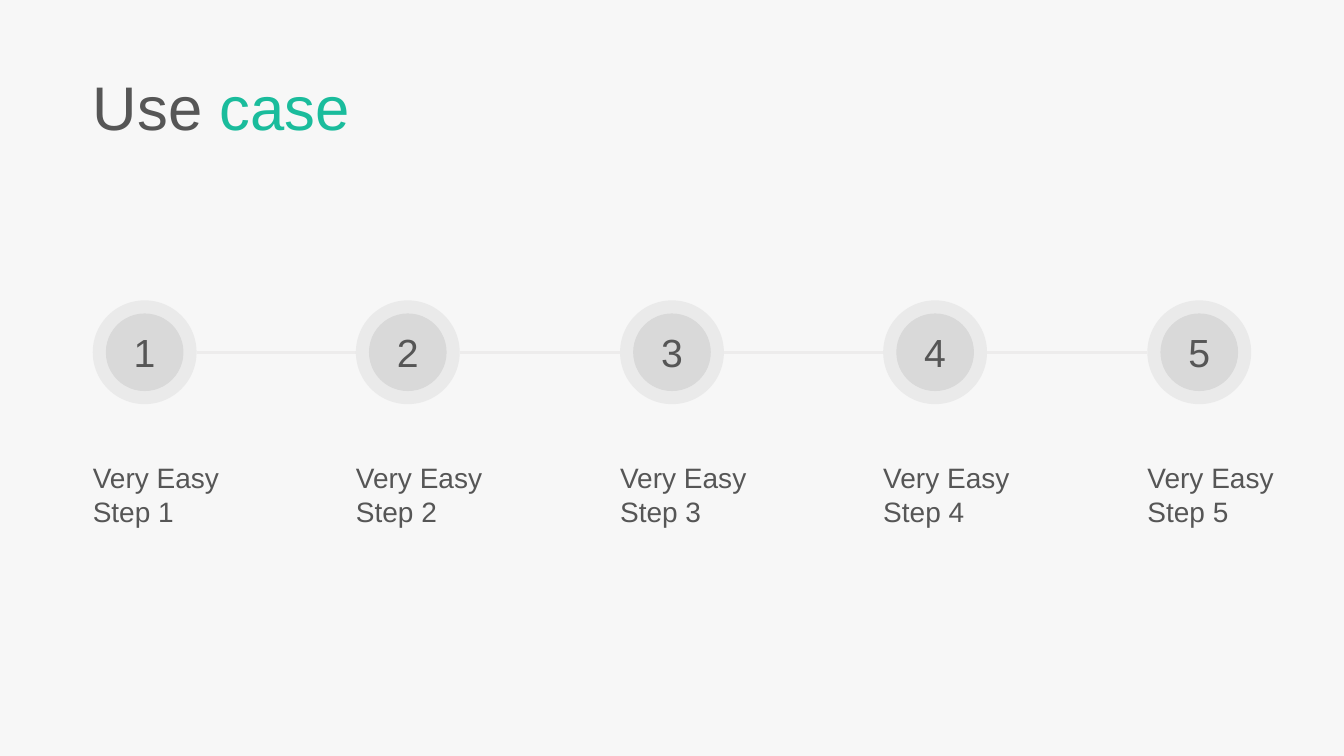
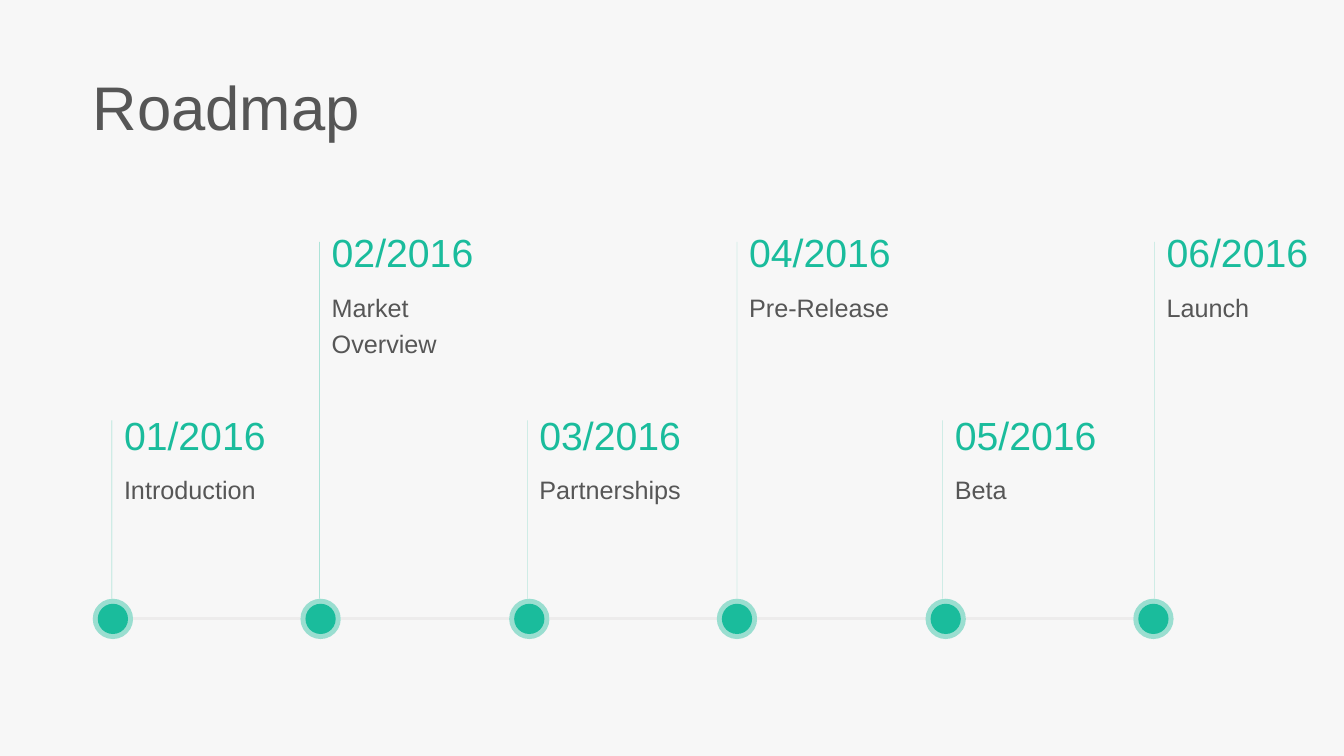
"""Builds a five-step use case slide and a six-milestone roadmap slide."""
import lxml.etree
import pptx
import pptx.dml.color
import pptx.enum.shapes
import pptx.enum.text
import pptx.oxml.ns
import pptx.util

PX = 9144
FONT = "Arial"
COLOURS = {
    "paper": "F7F7F7",
    "ink": "565656",
    "accent": "1ABC9C",
    "disc": "D9D9D9",
    "rail": "EDECEC",
}
COLOURS = {role: pptx.dml.color.RGBColor.from_string(code) for role, code in COLOURS.items()}


def write(slide, text, box=None, host=None, size=18, colour="ink", accent="", inset=0,
          centred=False, spacing=None, before=None):
    """Put text in a new box, or in the host shape, with an optional accent ending."""
    frame = (host or slide.shapes.add_textbox(*[length * PX for length in box])).text_frame
    frame.word_wrap = True
    paragraph = frame.paragraphs[0]
    if centred:
        frame.vertical_anchor = pptx.enum.text.MSO_ANCHOR.MIDDLE
        paragraph.alignment = pptx.enum.text.PP_ALIGN.CENTER
    else:
        frame.auto_size = pptx.enum.text.MSO_AUTO_SIZE.SHAPE_TO_FIT_TEXT
        frame.margin_left = inset * PX
    if spacing:
        paragraph.line_spacing = spacing
    if before:
        paragraph.space_before = pptx.util.Pt(before)
    for words, role in ((text, colour), (accent, "accent")):
        if words:
            run = paragraph.add_run()
            run.text = words
            run.font.name = FONT
            run.font.size = pptx.util.Pt(size)
            run.font.color.rgb = COLOURS[role]


def draw(slide, colour, left, top, right, bottom, weight=None, opacity=100):
    """Draw a line if a weight is given, otherwise a disc."""
    if weight:
        mark = slide.shapes.add_connector(
            pptx.enum.shapes.MSO_CONNECTOR.STRAIGHT, left * PX, top * PX, right * PX, bottom * PX)
        mark.line.width = pptx.util.Pt(weight)
        mark.line.fill.solid()
        mark.line.fill.fore_color.rgb = COLOURS[colour]
        lxml.etree.SubElement(mark._element.spPr, pptx.oxml.ns.qn("a:effectLst"))
    else:
        mark = slide.shapes.add_shape(
            pptx.enum.shapes.MSO_SHAPE.OVAL, left * PX, top * PX,
            (right - left) * PX, (bottom - top) * PX)
        mark.fill.solid()
        mark.fill.fore_color.rgb = COLOURS[colour]
        mark.line.fill.background()
        mark.shadow.inherit = False
    if opacity < 100:
        for tint in mark._element.spPr.iter(pptx.oxml.ns.qn("a:srgbClr")):
            lxml.etree.SubElement(tint, pptx.oxml.ns.qn("a:alpha"), val=str(opacity * 1000))
    return mark


deck = pptx.Presentation()
deck.slide_width, deck.slide_height = 1333 * PX, 750 * PX
deck.slide_master.background.fill.solid()
deck.slide_master.background.fill.fore_color.rgb = COLOURS["paper"]

MARGIN = 92
slides = []
for title, ending in (("Use ", "case"), ("Roadmap", "")):
    slide = deck.slides.add_slide(deck.slide_layouts[6])
    write(slide, title, (MARGIN, 72, 490, 77), size=44, accent=ending, spacing=0.9, before=10)
    slides.append(slide)
use_case, roadmap = slides

STEPS, STEP_SIZE, STEP_TOP, STEP_RIM = 5, 103, 298, 13
step_lefts = [MARGIN + 523 * index // 2 for index in range(STEPS)]
step_middle = STEP_TOP + STEP_SIZE // 2 + 1
for number, left in enumerate(step_lefts, 1):
    right, bottom = left + STEP_SIZE, STEP_TOP + STEP_SIZE
    draw(use_case, "disc", left + STEP_RIM, STEP_TOP + STEP_RIM,
         right - STEP_RIM, bottom - STEP_RIM)
    halo = draw(use_case, "disc", left, STEP_TOP, right, bottom, opacity=42)
    write(use_case, str(number), host=halo, size=28, centred=True)
    write(use_case, f"Very Easy Step {number}", (left, 452, 169, 77), size=20)
    if number < STEPS:
        draw(use_case, "rail", right, step_middle, step_lefts[number], step_middle, weight=2.25)

MILESTONES = [
    ("01/2016", "Introduction", 111),
    ("02/2016", "Market Overview", 317),
    ("03/2016", "Partnerships", 523),
    ("04/2016", "Pre-Release", 731),
    ("05/2016", "Beta", 935),
    ("06/2016", "Launch", 1145),
]
DOT_SIZE, DOT_TOP, DOT_RIM = 40, 594, 5
dot_lefts = [MARGIN + round(206.4 * index) for index in range(len(MILESTONES))]
dot_middle = DOT_TOP + DOT_SIZE // 2
for index, (date, event, stem) in enumerate(MILESTONES):
    left = dot_lefts[index]
    right, bottom = left + DOT_SIZE, DOT_TOP + DOT_SIZE
    date_top = 222 if index % 2 else 403
    stem_top = 240 if index % 2 else 417
    draw(roadmap, "accent", left, DOT_TOP, right, bottom, opacity=42)
    draw(roadmap, "accent", left + DOT_RIM, DOT_TOP + DOT_RIM, right - DOT_RIM, bottom - DOT_RIM)
    if index + 1 < len(MILESTONES):
        draw(roadmap, "rail", right, dot_middle, dot_lefts[index + 1], dot_middle, weight=2.25)
    draw(roadmap, "accent", stem, DOT_TOP, stem, stem_top, weight=0.25, opacity=51)
    write(roadmap, date, (stem, date_top, 185, 57), size=28, colour="accent", inset=12)
    write(roadmap, event, (stem, date_top + 57, 185, 46), inset=12, spacing=1.2)

deck.save("out.pptx")
